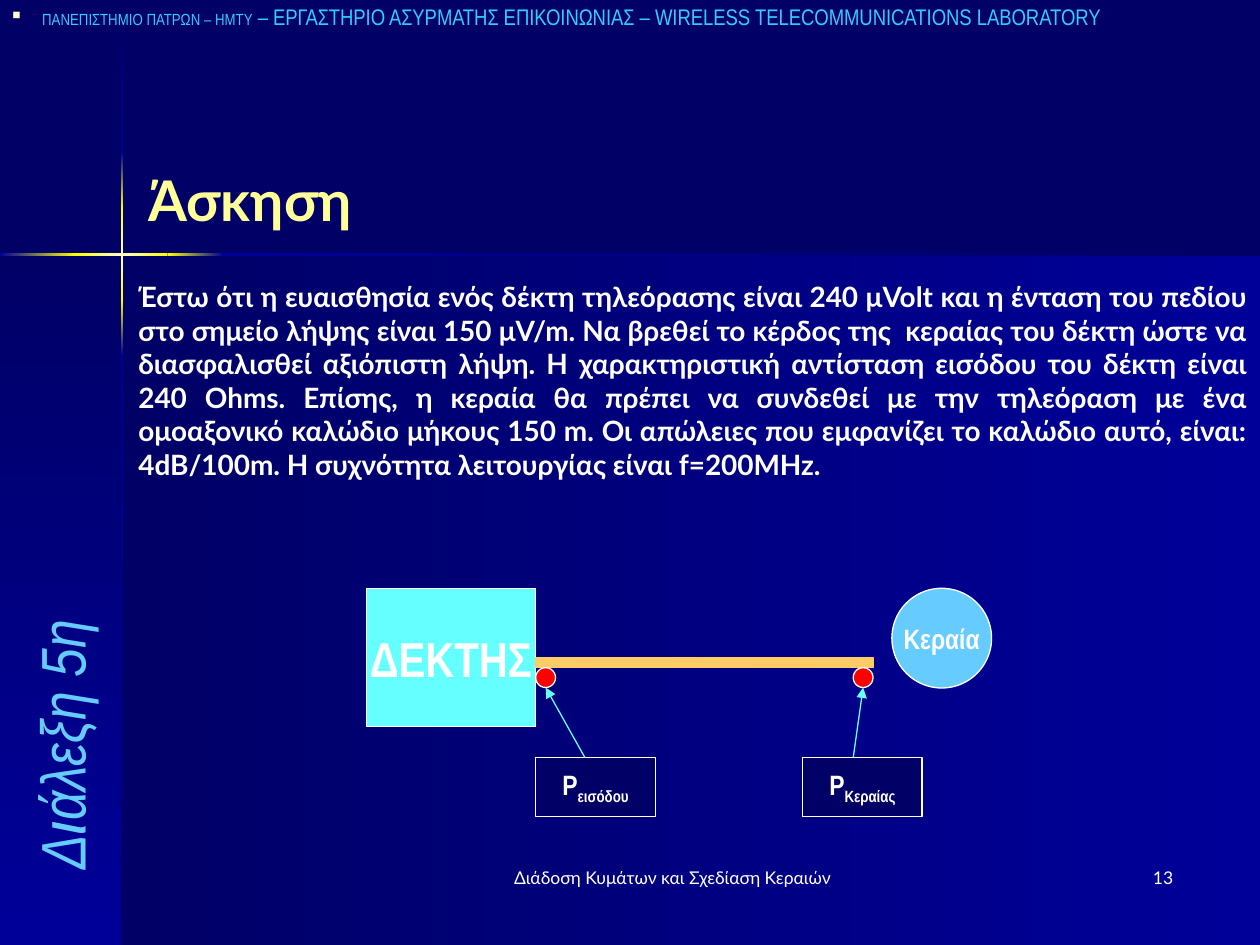
from copy import deepcopy

from lxml.etree import SubElement
from pptx import Presentation
from pptx.dml.color import RGBColor
from pptx.enum.shapes import MSO_CONNECTOR, MSO_SHAPE
from pptx.enum.text import MSO_ANCHOR as ANCHOR, PP_ALIGN as ALIGN
from pptx.oxml.ns import qn
from pptx.util import Cm, Pt

NAVY = RGBColor(0x00, 0x00, 0x66)
BLUE = RGBColor(0x00, 0x00, 0x99)
YELLOW = RGBColor(0xFF, 0xFF, 0x00)
CREAM = RGBColor(0xFF, 0xFF, 0xCC)
TITLE_YELLOW = RGBColor(0xFF, 0xFF, 0x99)
HEADER_BLUE = RGBColor(0x33, 0xCC, 0xFF)
SKY = RGBColor(0x66, 0xCC, 0xFF)
CYAN = RGBColor(0x66, 0xFF, 0xFF)
ORANGE = RGBColor(0xFF, 0xCC, 0x66)
RED = RGBColor(0xFF, 0x00, 0x00)
WHITE = RGBColor(0xFF, 0xFF, 0xFF)
NARROW, LATO = "Arial Narrow", "Lato"
RECTANGLE, OVAL = MSO_SHAPE.RECTANGLE, MSO_SHAPE.OVAL


def add_block(kind, left, top, width, height, colors, line=None):
    """Add a preset shape; several colours make a gradient along its long side."""
    shape = slide.shapes.add_shape(kind, Cm(left), Cm(top), Cm(width), Cm(height))
    shape.shadow.inherit = False
    if len(colors) == 1:
        shape.fill.solid()
        shape.fill.fore_color.rgb = colors[0]
    else:
        shape.fill.gradient()
        shape.fill.gradient_angle = 270 if height > width else 0
        stop_list = shape._element.spPr.find(".//" + qn("a:gsLst"))
        while len(stop_list) < len(colors):
            stop_list.append(deepcopy(stop_list[-1]))
        for index, (stop, color) in enumerate(zip(shape.fill.gradient_stops, colors)):
            stop.position = index / (len(colors) - 1)
            stop.color.rgb = color
    if line is None:
        shape.line.fill.background()
    else:
        shape.line.color.rgb = line
        shape.line.width = Pt(0.75)
    return shape


def write(shape, runs, font, color, align=ALIGN.LEFT, anchor=ANCHOR.TOP,
          wrap=True, bold=False, italic=False):
    """Fill the shape with one paragraph of (text, size) runs and return it."""
    frame = shape.text_frame
    frame.word_wrap = wrap
    frame.vertical_anchor = anchor
    paragraph = frame.paragraphs[0]
    paragraph.alignment = align
    for text, size in runs:
        run = paragraph.add_run()
        run.text = text
        run.font.size = Pt(size)
        run.font.name = font
        run.font.color.rgb = color
        run.font.bold = bold
        run.font.italic = italic
    return paragraph


presentation = Presentation()
presentation.slide_width, presentation.slide_height = Cm(25.4), Cm(19.05)
slide = presentation.slides.add_slide(presentation.slide_layouts[6])
slide.background.fill.solid()
slide.background.fill.fore_color.rgb = NAVY

# Background panels and the glowing cross
add_block(RECTANGLE, 2.46, 5.13, 22.94, 13.92, [NAVY, BLUE])
add_block(RECTANGLE, 0, 5.13, 2.46, 13.92, [NAVY, BLUE])
glow = [[NAVY, BLUE], [BLUE, YELLOW], [YELLOW, CREAM, YELLOW], [YELLOW, BLUE], [BLUE, NAVY]]
vertical_edges = [0.03, 3.07, 4.19, 6.05, 7.16, 19.05]
horizontal_edges = [0, 1.53, 3.38, 4.5, 25.4]
for start, end, colors in zip(vertical_edges, vertical_edges[1:], glow):
    add_block(RECTANGLE, 2.44, start, 0.05, end - start, colors)
for start, end, colors in zip(horizontal_edges, horizontal_edges[1:], glow[1:]):
    add_block(RECTANGLE, start, 5.11, end - start, 0.05, colors)

# Texts
title = slide.shapes.add_textbox(Cm(2.74), Cm(2.74), Cm(22.66), Cm(2.08))
write(title, [("Άσκηση", 32)], LATO, TITLE_YELLOW, ALIGN.JUSTIFY, ANCHOR.BOTTOM, bold=True)

header = slide.shapes.add_textbox(Cm(0), Cm(0), Cm(28.37), Cm(0.84))
header_paragraph = write(header, [
    ("ΠΑΝΕΠΙΣΤΗΜΙΟ ΠΑΤΡΩΝ – ΗΜΤΥ", 9.2),
    (" – ΕΡΓΑΣΤΗΡΙΟ ΑΣΥΡΜΑΤΗΣ ΕΠΙΚΟΙΝΩΝΙΑΣ – WIRELESS TELECOMMUNICATIONS LABORATORY", 12.9),
], NARROW, HEADER_BLUE)
header_paragraph.line_spacing = 0.9
header_paragraph.space_before = Pt(3.5)
properties = header_paragraph._p.get_or_add_pPr()
properties.set("marL", str(Cm(0.6)))
properties.set("indent", str(-Cm(0.6)))
bullet_color = SubElement(properties, qn("a:buClr"))
SubElement(bullet_color, qn("a:srgbClr"), val=str(CREAM))
SubElement(properties, qn("a:buSzPct"), val="70000")
SubElement(properties, qn("a:buChar"), char="■")

lecture = slide.shapes.add_textbox(Cm(-3.61), Cm(12.07), Cm(9.73), Cm(1.7))
lecture.rotation = 270
write(lecture, [("Διάλεξη 5η", 36)], NARROW, SKY, anchor=ANCHOR.BOTTOM, italic=True)

exercise = slide.shapes.add_textbox(Cm(2.54), Cm(5.51), Cm(22.86), Cm(5))
write(exercise, [(
    "Έστω ότι η ευαισθησία ενός δέκτη τηλεόρασης είναι 240 μVolt και η ένταση του πεδίου "
    "στο σημείο λήψης είναι 150 μV/m. Να βρεθεί το κέρδος της  κεραίας του δέκτη ώστε να "
    "διασφαλισθεί αξιόπιστη λήψη. Η χαρακτηριστική αντίσταση εισόδου του δέκτη είναι "
    "240 Ohms. Επίσης, η κεραία θα πρέπει να συνδεθεί με την τηλεόραση με ένα "
    "ομοαξονικό καλώδιο μήκους 150 m. Οι απώλειες που εμφανίζει το καλώδιο αυτό, είναι: "
    "4dB/100m. Η συχνότητα λειτουργίας είναι f=200MHz.", 16)],
    LATO, WHITE, ALIGN.JUSTIFY, bold=True)

# Receiver, cable and antenna
receiver = add_block(RECTANGLE, 7.39, 11.86, 3.4, 2.79, [CYAN], WHITE)
add_block(RECTANGLE, 10.8, 13.26, 6.8, 0.2, [ORANGE], ORANGE)
antenna = add_block(OVAL, 17.98, 11.86, 2.01, 2.01, [SKY], WHITE)
for shape, label, size in [(receiver, "ΔΕΚΤΗΣ", 28), (antenna, "Κεραία", 16)]:
    write(shape, [(label, size)], NARROW, WHITE, ALIGN.CENTER, ANCHOR.MIDDLE, False, True)

# Power measuring points: dot, labelled box and arrow from box to dot
for dot_left, box_left, arrow_start, subscript in [
    (10.8, 10.8, 11.79, "εισόδου"),
    (17.2, 16.18, 17.2, "Κεραίας"),
]:
    add_block(OVAL, dot_left, 13.46, 0.4, 0.4, [RED], WHITE)
    box = add_block(RECTANGLE, box_left, 15.27, 2.41, 1.19, [NAVY], WHITE)
    paragraph = write(box, [("P", 16), (subscript, 16)], NARROW, WHITE,
                      ALIGN.CENTER, ANCHOR.MIDDLE, False, True)
    paragraph.runs[1].font._element.set("baseline", "-25000")
    arrow = slide.shapes.add_connector(MSO_CONNECTOR.STRAIGHT, Cm(arrow_start), Cm(15.27),
                                       Cm(dot_left + 0.2), Cm(13.86))
    arrow.line.color.rgb = CYAN
    arrow.line.width = Pt(0.75)
    SubElement(arrow.line._get_or_add_ln(), qn("a:tailEnd"), type="triangle")
    SubElement(arrow._element.spPr, qn("a:effectLst"))

# Footer
footer = slide.shapes.add_textbox(Cm(9.53), Cm(17.35), Cm(8.05), Cm(1.27))
write(footer, [("Διάδοση Κυμάτων και Σχεδίαση Κεραιών", 10)], LATO, WHITE, ALIGN.CENTER)
number = slide.shapes.add_textbox(Cm(18.62), Cm(17.35), Cm(5.28), Cm(1.27))
write(number, [("13", 10)], LATO, WHITE, ALIGN.RIGHT)

presentation.save("out.pptx")
